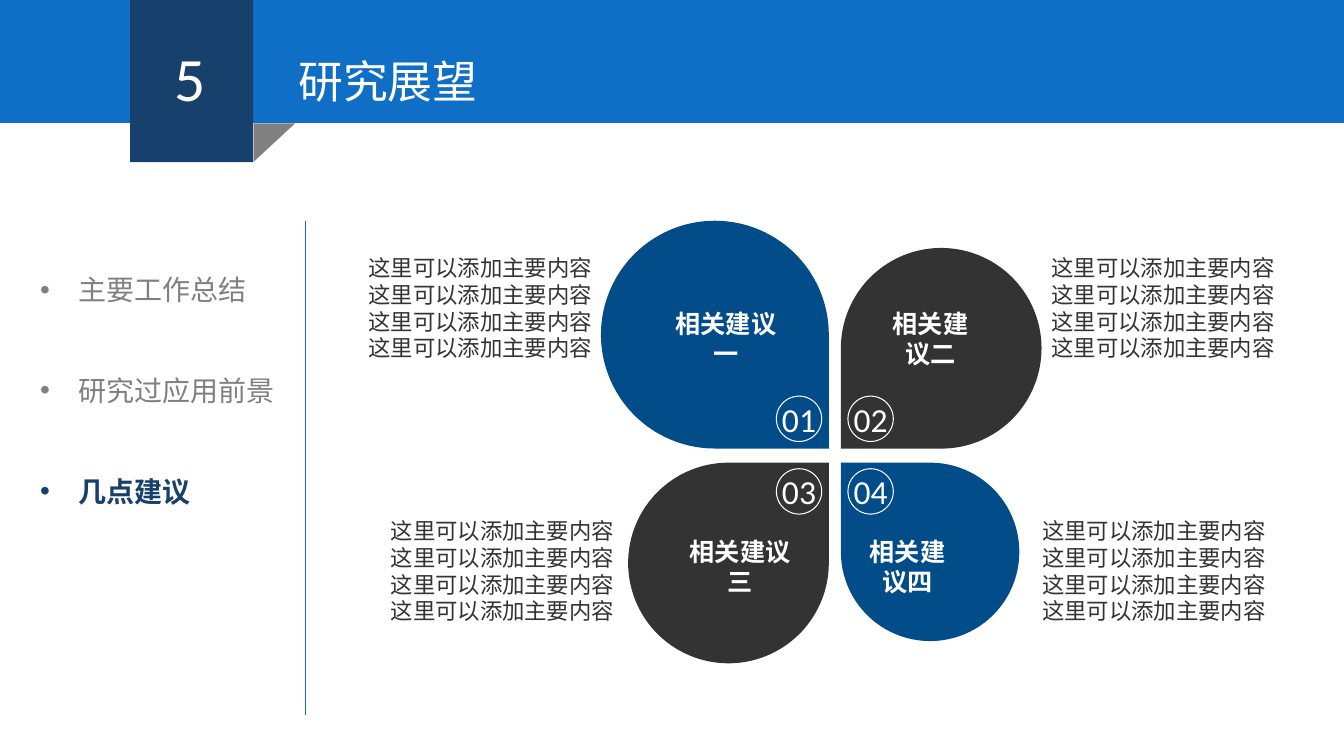
import pptx
import pptx.util
import pptx.dml.color
import pptx.enum.shapes
import pptx.enum.text
import pptx.oxml.ns
import lxml.etree

PX = 9144  # EMU per px, 100 px to the inch
THEME = {
    "blue": "0F6FC6", "navy": "17406D", "petal": "024C89", "dark": "333333",
    "grey": "808080", "white": "FFFFFF",
    "latin": "Calibri", "cjk": "Noto Sans CJK SC",
    "number": 44, "title": 32, "badge": 24, "list": 20, "heading": 18, "body": 16,
}
SHAPE = pptx.enum.shapes.MSO_SHAPE
ALIGN = pptx.enum.text.PP_ALIGN
qn = pptx.oxml.ns.qn

prs = pptx.Presentation()
prs.slide_width, prs.slide_height = 1333 * PX, 750 * PX
s = prs.slides.add_slide(prs.slide_layouts[6])


def add_shape(kind, x, y, w, h, color, rotation=0):
    sp = s.shapes.add_shape(kind, x * PX, y * PX, w * PX, h * PX)
    sp.shadow.inherit = False
    sp.rotation = rotation
    sp.line.fill.background()
    sp.fill.solid()
    sp.fill.fore_color.rgb = pptx.dml.color.RGBColor.from_string(THEME[color])
    return sp


def format_text(p, role, color, font="latin", bold=False, align=ALIGN.LEFT, spacing=1.2):
    size = THEME[role]
    p.alignment = align
    p.line_spacing = pptx.util.Pt(round(size * spacing, 1))
    for r in p.runs:
        r.font.size = pptx.util.Pt(size)
        r.font.bold = bold
        r.font.name = THEME[font]
        r.font.color.rgb = pptx.dml.color.RGBColor.from_string(THEME[color])
        ea = lxml.etree.SubElement(r.font._element, qn("a:ea"))
        ea.set("typeface", THEME["cjk"])


# Divider
line = s.shapes.add_connector(
    pptx.enum.shapes.MSO_CONNECTOR.STRAIGHT, 303 * PX, 219 * PX, 303 * PX, 709 * PX)
line.line.width = pptx.util.Pt(0.5)
line.line.color.rgb = pptx.dml.color.RGBColor.from_string(THEME["blue"])
lxml.etree.SubElement(line._element.spPr, qn("a:effectLst"))

# Side list, current topic in bold
topics = ["主要工作总结", "研究过应用前景", "几点建议"]
tf = s.shapes.add_textbox(30 * PX, 199 * PX, 321 * PX, 313 * PX).text_frame
tf.word_wrap = True
tf.text = "\n".join(topics)
for p in tf.paragraphs:
    current = p.text == topics[-1]
    format_text(p, "list", "navy" if current else "grey", bold=current, spacing=3.6)
    pPr = p._p.get_or_add_pPr()
    pPr.set("marL", str(38 * PX))
    pPr.set("indent", str(-38 * PX))
    lxml.etree.SubElement(pPr, qn("a:buFont")).set("typeface", "Arial")
    lxml.etree.SubElement(pPr, qn("a:buChar")).set("char", "•")

# Header band and ribbon
add_shape(SHAPE.RECTANGLE, 0, 0, 1333, 122, "blue")
add_shape(SHAPE.RECTANGLE, 129, 0, 122, 161, "navy")
add_shape(SHAPE.RIGHT_TRIANGLE, 253, 121, 38, 41, "grey", rotation=90)
for text, role, x, y, w, h in [("5", "number", 163, 35, 54, 84),
                               ("研究展望", "title", 286, 48, 391, 64)]:
    tf = s.shapes.add_textbox(x * PX, y * PX, w * PX, h * PX).text_frame
    tf.word_wrap = True
    tf.text = text
    format_text(tf.paragraphs[0], role, "white")

# Petals meet at a cross-shaped gap; the rotation points each tip at its centre
LEFT, RIGHT, TOP, BOTTOM = 822, 834, 445, 459
BODY = "这里可以添加主要内容" * 4
petals = [
    # number, heading, size, colour, rotation, heading x, body x
    ("01", "相关建议一", 226, "petal", 90, 659, 337),
    ("02", "相关建议二", 199, "dark", 180, 866, 1033),
    ("03", "相关建议三", 199, "dark", 0, 673, 359),
    ("04", "相关建议四", 177, "petal", 270, 843, 1024),
]
for i, (number, heading, size, color, rotation, heading_x, body_x) in enumerate(petals):
    on_left, on_top = i % 2 == 0, i < 2
    x = LEFT - size if on_left else RIGHT
    y = TOP - size if on_top else BOTTOM
    add_shape(SHAPE.TEAR, x, y, size, size, color, rotation)

    # Numbered ring
    ring = add_shape(SHAPE.OVAL, 770 if on_left else 841, 393 if on_top else 465,
                     45, 45, color)
    ring.line.width = pptx.util.Pt(0.75)
    ring.line.color.rgb = pptx.dml.color.RGBColor.from_string(THEME["white"])
    tf = ring.text_frame
    tf.margin_left = tf.margin_right = tf.margin_top = tf.margin_bottom = 0
    tf.vertical_anchor = pptx.enum.text.MSO_ANCHOR.MIDDLE
    tf.word_wrap = False
    tf.text = number
    format_text(tf.paragraphs[0], "badge", "white", align=ALIGN.CENTER)

    # Heading on the petal
    tf = s.shapes.add_textbox(heading_x * PX, (301 if on_top else 527) * PX,
                              (122 if on_left else 114) * PX, 71 * PX).text_frame
    tf.word_wrap = True
    tf.text = heading
    format_text(tf.paragraphs[0], "heading", "white", "cjk", True, ALIGN.CENTER)

    # Body text beside it
    tf = s.shapes.add_textbox(body_x * PX, (247 if on_top else 508) * PX,
                              (260 if on_left else 256) * PX, 118 * PX).text_frame
    tf.word_wrap = True
    tf.text = BODY
    format_text(tf.paragraphs[0], "body", "dark", "cjk",
                align=ALIGN.RIGHT if on_left else ALIGN.LEFT)

prs.save("out.pptx")
